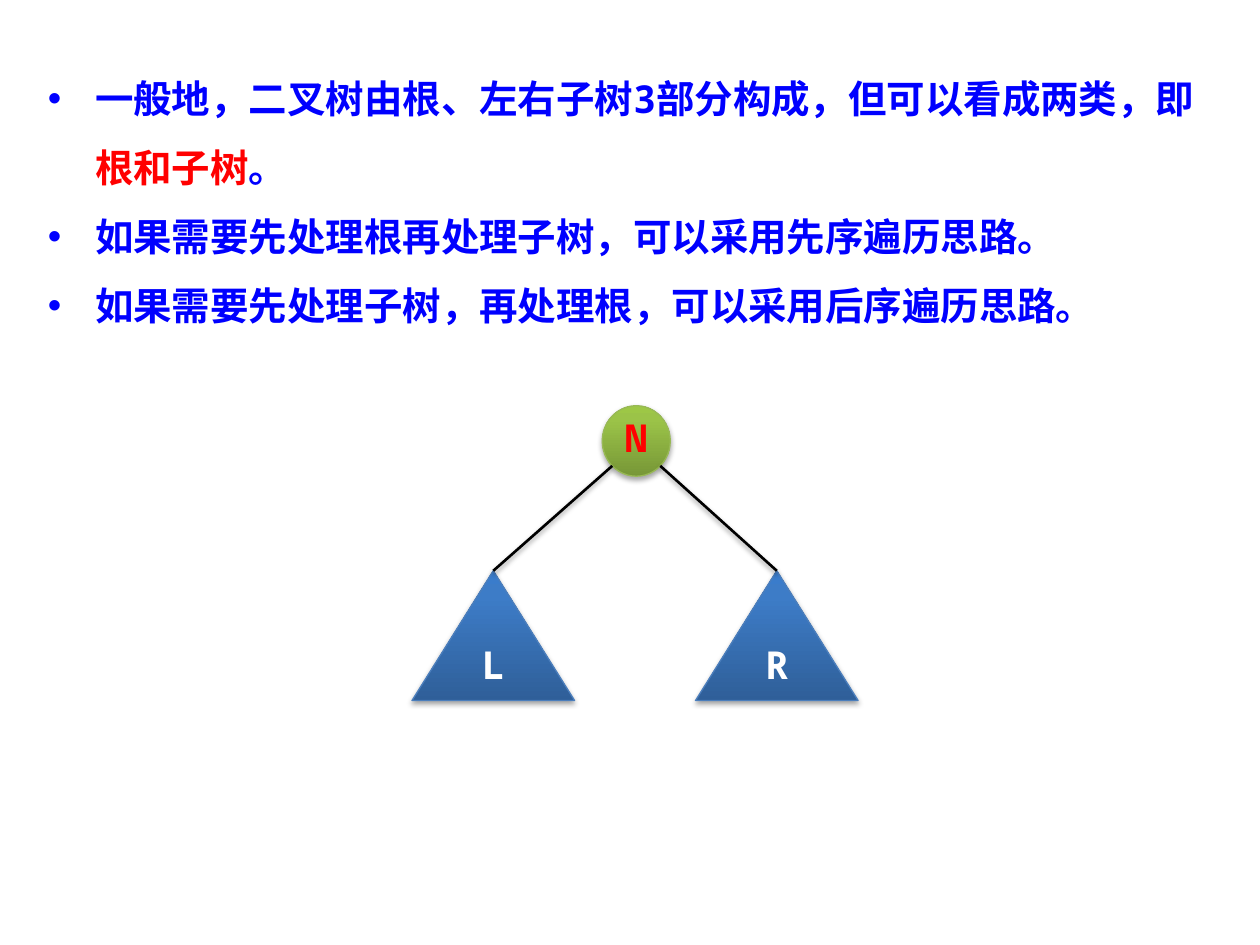
from lxml.etree import SubElement
from math import cos, pi, sin
from pptx import Presentation
from pptx.dml.color import RGBColor
from pptx.enum.shapes import MSO_CONNECTOR, MSO_SHAPE
from pptx.enum.text import MSO_ANCHOR, MSO_AUTO_SIZE, PP_ALIGN
from pptx.oxml import parse_xml
from pptx.oxml.ns import nsdecls, qn
from pptx.util import Inches, Pt

COLUMNS, ROWS = 100, 75
WIDTH, HEIGHT = Inches(10), Inches(7.5)
FONT = "Noto Sans Mono"
COLORS = {
    "statement": "0000FF",
    "emphasis": "FF0000",
    "subtree_label": "FFFFFF",
    "edge": "000000",
    "shadow": "000000",
    "root_line": "98B955",
    "root_dark": "779737",
    "root_mid": "9BC348",
    "root_light": "9DC746",
    "subtree_line": "4B7EBC",
    "subtree_dark": "2F5F99",
    "subtree_mid": "3D7CC7",
    "subtree_light": "3A7CCB",
}
STATEMENTS = [
    [("一般地，二叉树由根、左右子树3部分构成，但可以看成两类，即", "statement"),
     ("根和子树", "emphasis"), ("。", "statement")],
    [("如果需要先处理根再处理子树，可以采用先序遍历思路。", "statement")],
    [("如果需要先处理子树，再处理根，可以采用后序遍历思路。", "statement")],
]
ROOT = (47.8, 32.2, 5.4, 5.6)
SUBTREE_TOP, SUBTREE_WIDTH, SUBTREE_HEIGHT = 45.3, 12.9, 10.3
SUBTREES = [("L", 32.7, -1), ("R", 55.2, 1)]


def across(columns):
    return round(WIDTH * columns / COLUMNS)


def down(rows):
    return round(HEIGHT * rows / ROWS)


def place(left, top, width, height):
    return across(left), down(top), across(width), down(height)


def color(name):
    return RGBColor.from_string(COLORS[name])


def style_run(run, color_name):
    run.font.name = FONT
    run.font.size = Pt(22)
    run.font.bold = True
    run.font.color.rgb = color(color_name)


def add_shadow(element, opacity, distance):
    properties = element.spPr
    effects = properties.find(qn("a:effectLst"))
    if effects is None:
        effects = SubElement(properties, qn("a:effectLst"))
    shadow = SubElement(effects, qn("a:outerShdw"), blurRad=str(Pt(3.1)),
                        dist=str(Pt(distance)), dir="5400000", rotWithShape="0")
    tint = SubElement(shadow, qn("a:srgbClr"), val=COLORS["shadow"])
    SubElement(tint, qn("a:alpha"), val=str(opacity * 1000))


def fill_gradient(shape, part):
    stops = "".join(
        f'<a:gs pos="{share * 1000}"><a:srgbClr val="{COLORS[f"{part}_{tone}"]}"/></a:gs>'
        for share, tone in ((0, "dark"), (80, "mid"), (100, "light")))
    gradient = parse_xml(
        f'<a:gradFill {nsdecls("a")} rotWithShape="1"><a:gsLst>{stops}</a:gsLst>'
        '<a:lin ang="16200000" scaled="0"/></a:gradFill>')
    shape._element.spPr.find(qn("a:prstGeom")).addnext(gradient)


def add_statements(slide):
    body = slide.placeholders[1]
    body.left, body.top, body.width, body.height = place(2.8, 3.6, 94.4, 22.6)
    frame = body.text_frame
    frame.auto_size = MSO_AUTO_SIZE.NONE
    for index, parts in enumerate(STATEMENTS):
        statement = frame.add_paragraph() if index else frame.paragraphs[0]
        statement.line_spacing = 1.5
        statement.space_before = Pt(0)
        for words, color_name in parts:
            run = statement.add_run()
            run.text = words
            style_run(run, color_name)


def add_node(tree, geometry, box, label, part, label_color):
    node = tree.shapes.add_shape(geometry, *place(*box))
    node.shadow.inherit = False
    fill_gradient(node, part)
    node.line.color.rgb = color(f"{part}_line")
    node.line.width = Pt(0.75)
    add_shadow(node._element, 35, 1.8)
    frame = node.text_frame
    frame.text = label
    frame.vertical_anchor = MSO_ANCHOR.MIDDLE
    paragraph = frame.paragraphs[0]
    paragraph.alignment = PP_ALIGN.CENTER
    paragraph.line_spacing = 0.8
    style_run(paragraph.runs[0], label_color)
    return node


def add_edge(tree, start, end):
    edge = tree.shapes.add_connector(
        MSO_CONNECTOR.STRAIGHT, across(start[0]), down(start[1]),
        across(end[0]), down(end[1]))
    edge.line.color.rgb = color("edge")
    edge.line.width = Pt(1.5)
    add_shadow(edge._element, 38, 1.6)


def add_tree(slide):
    tree = slide.shapes.add_group_shape()
    root = add_node(tree, MSO_SHAPE.OVAL, ROOT, "N", "root", "emphasis")
    root.text_frame.margin_left = root.text_frame.margin_right = 0
    for label, left, side in SUBTREES:
        box = (left, SUBTREE_TOP, SUBTREE_WIDTH, SUBTREE_HEIGHT)
        add_node(tree, MSO_SHAPE.ISOSCELES_TRIANGLE, box, label,
                 "subtree", "subtree_label")
    root_left, root_top, root_width, root_height = ROOT
    for label, left, side in SUBTREES:
        start = (root_left + root_width / 2 * (1 + side * cos(pi / 4)),
                 root_top + root_height / 2 * (1 + sin(pi / 4)))
        add_edge(tree, start, (left + SUBTREE_WIDTH / 2, SUBTREE_TOP))


def main():
    presentation = Presentation()
    presentation.slide_width, presentation.slide_height = WIDTH, HEIGHT
    slide = presentation.slides.add_slide(presentation.slide_layouts[1])
    title = slide.shapes.title._element
    title.getparent().remove(title)
    add_statements(slide)
    add_tree(slide)
    presentation.save("out.pptx")


if __name__ == "__main__":
    main()
